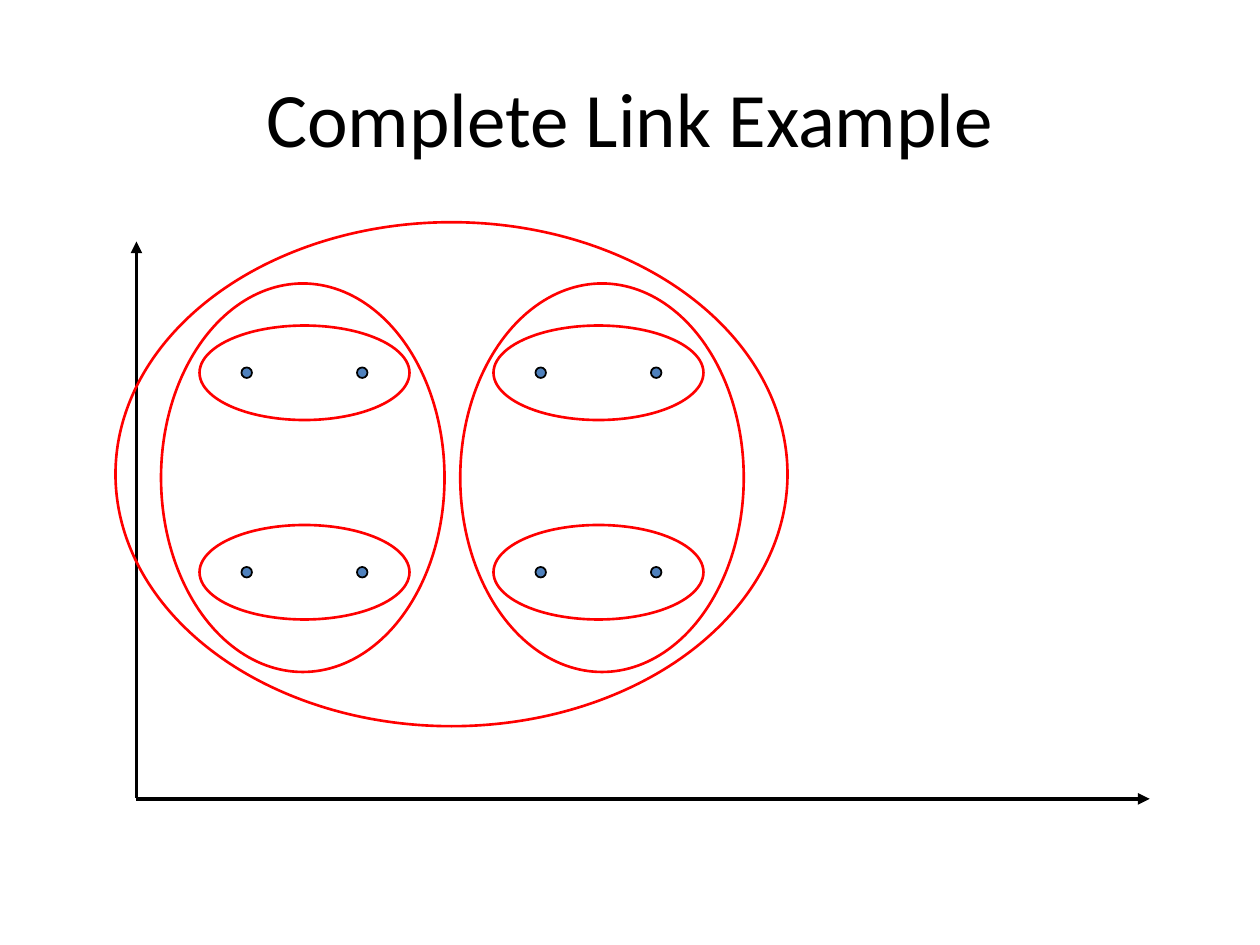
from itertools import product

from lxml.etree import SubElement
from pptx import Presentation
from pptx.dml.color import RGBColor
from pptx.enum.shapes import MSO_CONNECTOR, MSO_SHAPE
from pptx.enum.text import MSO_ANCHOR, PP_ALIGN
from pptx.oxml.ns import qn
from pptx.util import Pt

BLACK = RGBColor(0x00, 0x00, 0x00)
BLUE = RGBColor(0x4F, 0x81, 0xBD)
RED = RGBColor(0xFF, 0x00, 0x00)


class ClusterSlide:
    """Draws the title, axes, points and cluster outlines on one slide."""

    font_name = "Calibri"
    title_size = 44
    axis_width = 2.25
    point_size = 6
    point_line_width = 1
    cluster_line_width = 1.5

    def __init__(self, presentation):
        self.slide = presentation.slides.add_slide(presentation.slide_layouts[6])

    def title(self, text, left, top, width, height):
        shape = self.slide.shapes.add_textbox(Pt(left), Pt(top), Pt(width), Pt(height))
        frame = shape.text_frame
        frame.word_wrap = True
        frame.vertical_anchor = MSO_ANCHOR.MIDDLE
        paragraph = frame.paragraphs[0]
        paragraph.alignment = PP_ALIGN.CENTER
        run = paragraph.add_run()
        run.text = text
        run.font.name = self.font_name
        run.font.size = Pt(self.title_size)
        run.font.color.rgb = BLACK

    def axis(self, start, end):
        connector = self.slide.shapes.add_connector(
            MSO_CONNECTOR.STRAIGHT, *map(Pt, start + end)
        )
        connector.line.color.rgb = BLACK
        connector.line.width = Pt(self.axis_width)
        properties = connector.element.spPr
        SubElement(properties.find(qn("a:ln")), qn("a:tailEnd"), type="triangle")
        SubElement(properties, qn("a:effectLst"))

    def ellipse(self, left, top, width, height, line_color, line_width):
        shape = self.slide.shapes.add_shape(
            MSO_SHAPE.OVAL, Pt(left), Pt(top), Pt(width), Pt(height)
        )
        shape.shadow.inherit = False
        shape.line.color.rgb = line_color
        shape.line.width = Pt(line_width)
        return shape

    def point(self, left, top):
        shape = self.ellipse(
            left, top, self.point_size, self.point_size, BLACK, self.point_line_width
        )
        shape.fill.solid()
        shape.fill.fore_color.rgb = BLUE

    def cluster(self, left, top, width, height):
        shape = self.ellipse(left, top, width, height, RED, self.cluster_line_width)
        shape.fill.background()


def main():
    presentation = Presentation()
    presentation.slide_width = Pt(720)
    presentation.slide_height = Pt(540)
    slide = ClusterSlide(presentation)

    slide.title("Complete Link Example", 36, 21.6, 648, 90)
    slide.axis((78, 456), (78, 138))
    slide.axis((78, 456.5), (657, 456.5))

    for left, top in product((138, 204, 306, 372), (210, 324)):
        slide.point(left, top)
    for left, top in product((114, 282), (186, 300)):
        slide.cluster(left, top, 120, 54)
    for left in (92, 263):
        slide.cluster(left, 162, 162, 222)
    slide.cluster(66, 127, 384, 288)

    presentation.save("out.pptx")


if __name__ == "__main__":
    main()
